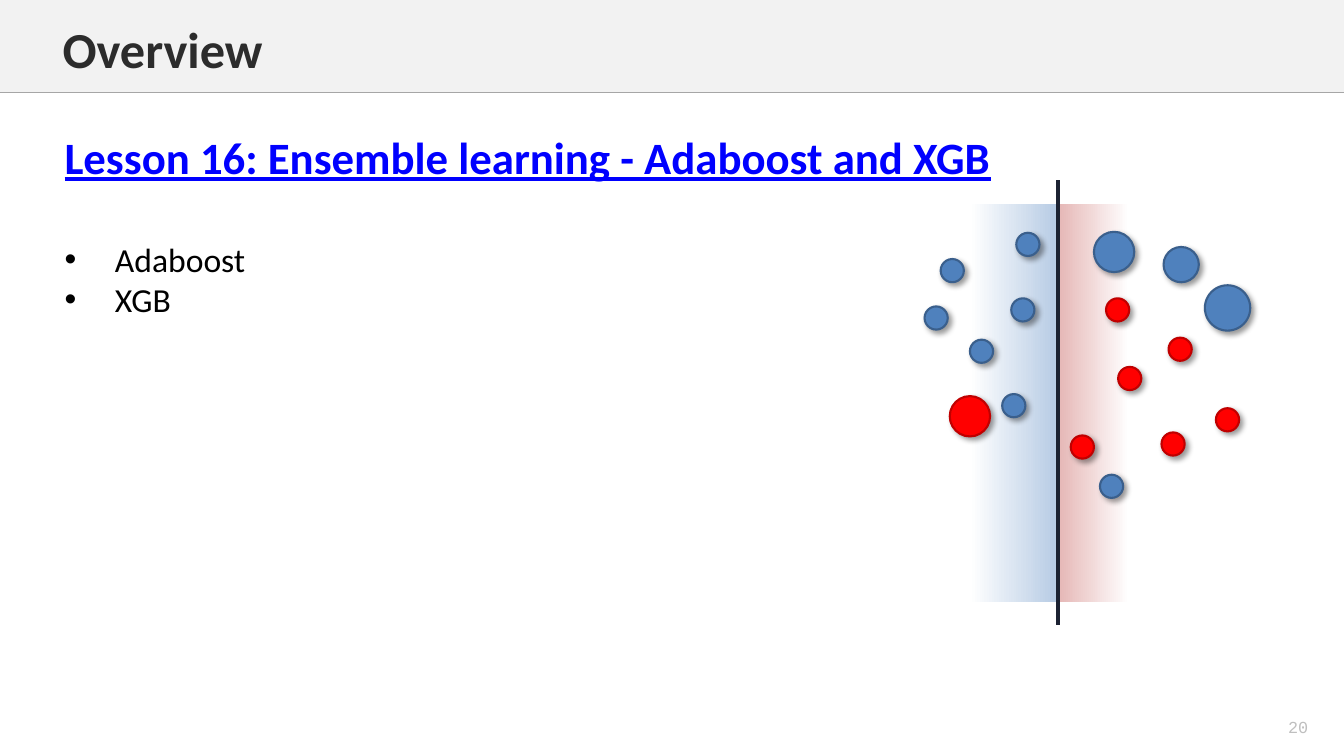
from typing import NamedTuple

from lxml.etree import SubElement
from pptx import Presentation
from pptx.dml.color import RGBColor
from pptx.enum.shapes import MSO_CONNECTOR as Connector, MSO_SHAPE as Preset
from pptx.enum.text import MSO_ANCHOR as Anchor, MSO_AUTO_SIZE as AutoSize, PP_ALIGN as Align
from pptx.oxml.ns import qn
from pptx.util import Inches, Pt

BLUE, BLUE_EDGE = "4F81BD", "3A5F8C"
RED, RED_EDGE = "FF0000", "C00000"
SMALL = 0.23


class Sample(NamedTuple):
    left: float
    top: float
    size: float = SMALL


class Side(NamedTuple):
    left: float
    width: float
    stops: tuple[tuple[float, str], ...]


BLUE_SAMPLES = [
    Sample(9.33, 2.57), Sample(10.08, 2.31), Sample(9.62, 3.37), Sample(9.17, 3.04),
    Sample(10.03, 2.96), Sample(9.94, 3.91), Sample(10.91, 4.71),
    Sample(10.85, 2.3, 0.4), Sample(11.54, 2.45, 0.35), Sample(11.95, 2.83, 0.45),
]
RED_SAMPLES = [
    Sample(11.09, 3.64), Sample(10.62, 4.32), Sample(11.59, 3.35), Sample(11.52, 4.29),
    Sample(12.06, 4.05), Sample(10.97, 2.96), Sample(9.42, 3.93, 0.4),
]
SIDES = [
    Side(10.5, 0.7, ((0.02, "E6B9B8"), (1, "FFFFFF"))),
    Side(9.62, 0.86, ((0, "FFFFFF"), (0.98, "B9CDE5"))),
]


def rgb(code: str) -> RGBColor:
    return RGBColor.from_string(code)


def add_span(para, text: str, size: float, color: str, font: str = "Calibri",
             bold: bool = False, underline: bool = False) -> None:
    span = para.add_run()
    span.text = text
    span.font.name, span.font.size = font, Pt(size)
    span.font.bold, span.font.underline = bold, underline
    span.font.color.rgb = rgb(color)


def place(box, left: float, top: float, width: float, height: float, anchor: Anchor):
    box.left, box.top = Inches(left), Inches(top)
    box.width, box.height = Inches(width), Inches(height)
    frame = box.text_frame
    frame.word_wrap, frame.auto_size = True, AutoSize.NONE
    frame.vertical_anchor = anchor
    return frame


def set_bullet(para, bullet: str = "") -> None:
    props = para._p.get_or_add_pPr()
    indent = Inches(0.5) if bullet else 0
    props.set("marL", str(indent))
    props.set("indent", str(-indent))
    if bullet:
        SubElement(props, qn("a:buFont"), typeface="Arial")
        SubElement(props, qn("a:buChar"), char=bullet)
    else:
        SubElement(props, qn("a:buNone"))


def add_line(page, start: tuple[float, float], end: tuple[float, float],
             color: str, width: float) -> None:
    line = page.shapes.add_connector(Connector.STRAIGHT, *map(Inches, start + end))
    line.line.color.rgb = rgb(color)
    line.line.width = Pt(width)
    SubElement(line.element.spPr, qn("a:effectLst"))


def add_rectangle(page, left: float, top: float, width: float, height: float):
    shape = page.shapes.add_shape(Preset.RECTANGLE, *map(Inches, (left, top, width, height)))
    shape.shadow.inherit = False
    shape.line.fill.background()
    return shape


def add_side(page, side: Side) -> None:
    shape = add_rectangle(page, side.left, 2.02, side.width, 3.95)
    shape.fill.gradient()
    shape.fill.gradient_angle = 0
    for stop, (position, color) in zip(shape.fill.gradient_stops, side.stops):
        stop.position = position
        stop.color.rgb = rgb(color)


def add_sample(page, sample: Sample, fill: str, edge: str) -> None:
    dot = page.shapes.add_shape(
        Preset.FLOWCHART_CONNECTOR, Inches(sample.left), Inches(sample.top),
        Inches(sample.size), Inches(sample.size))
    dot.fill.solid()
    dot.fill.fore_color.rgb = rgb(fill)
    dot.line.color.rgb = rgb(edge)
    dot.line.width = Pt(1.5)
    dot.shadow.inherit = False
    effects = dot.element.spPr.find(qn("a:effectLst"))
    shadow = SubElement(effects, qn("a:outerShdw"), blurRad=str(Pt(4)), dist=str(Pt(3)),
                        dir="2700000", algn="tl", rotWithShape="0")
    tint = SubElement(shadow, qn("a:srgbClr"), val="000000")
    SubElement(tint, qn("a:alpha"), val="40000")


def add_header(page) -> None:
    band = add_rectangle(page, 0, 0, 13.33, 0.92)
    band.fill.solid()
    band.fill.fore_color.rgb = rgb("F2F2F2")
    page.shapes.element.insert(2, band.element)  # behind the title
    add_line(page, (0, 0.92), (13.33, 0.92), "A6A6A6", 1)
    para = place(page.shapes.title, 0.52, 0.13, 11.89, 0.71, Anchor.TOP).paragraphs[0]
    para.alignment = Align.LEFT
    add_span(para, "Overview", 36, "2C2C2C", bold=True)


def add_lesson(page) -> None:
    frame = place(page.placeholders[1], 0.54, 1.24, 9.9, 1.99, Anchor.TOP)
    heading = frame.paragraphs[0]
    heading.space_before, heading.space_after = Pt(0), Pt(39)
    set_bullet(heading)
    add_span(heading, "Lesson 16: Ensemble learning - Adaboost and XGB", 32, "0000FF",
             bold=True, underline=True)
    for topic in ("Adaboost", "XGB"):
        para = frame.add_paragraph()
        para.space_before = Pt(0)
        set_bullet(para, "•")
        add_span(para, topic, 24, "000000")


def add_page_number(page) -> None:
    box = page.shapes.add_textbox(0, 0, 0, 0)
    para = place(box, 12.44, 7.06, 0.87, 0.31, Anchor.MIDDLE).paragraphs[0]
    para.alignment = Align.CENTER
    add_span(para, "20", 12, "BFBFBF", font="Courier New")


def add_classifier(page) -> None:
    for side in SIDES:
        add_side(page, side)
    for sample in BLUE_SAMPLES:
        add_sample(page, sample, BLUE, BLUE_EDGE)
    for sample in RED_SAMPLES:
        add_sample(page, sample, RED, RED_EDGE)
    add_line(page, (10.49, 6.2), (10.49, 1.79), "1C2232", 3)


def main() -> None:
    deck = Presentation()
    deck.slide_width, deck.slide_height = Inches(13.33), Inches(7.5)
    page = deck.slides.add_slide(deck.slide_layouts[1])
    add_header(page)
    add_lesson(page)
    add_page_number(page)
    add_classifier(page)
    deck.save("out.pptx")


if __name__ == "__main__":
    main()
